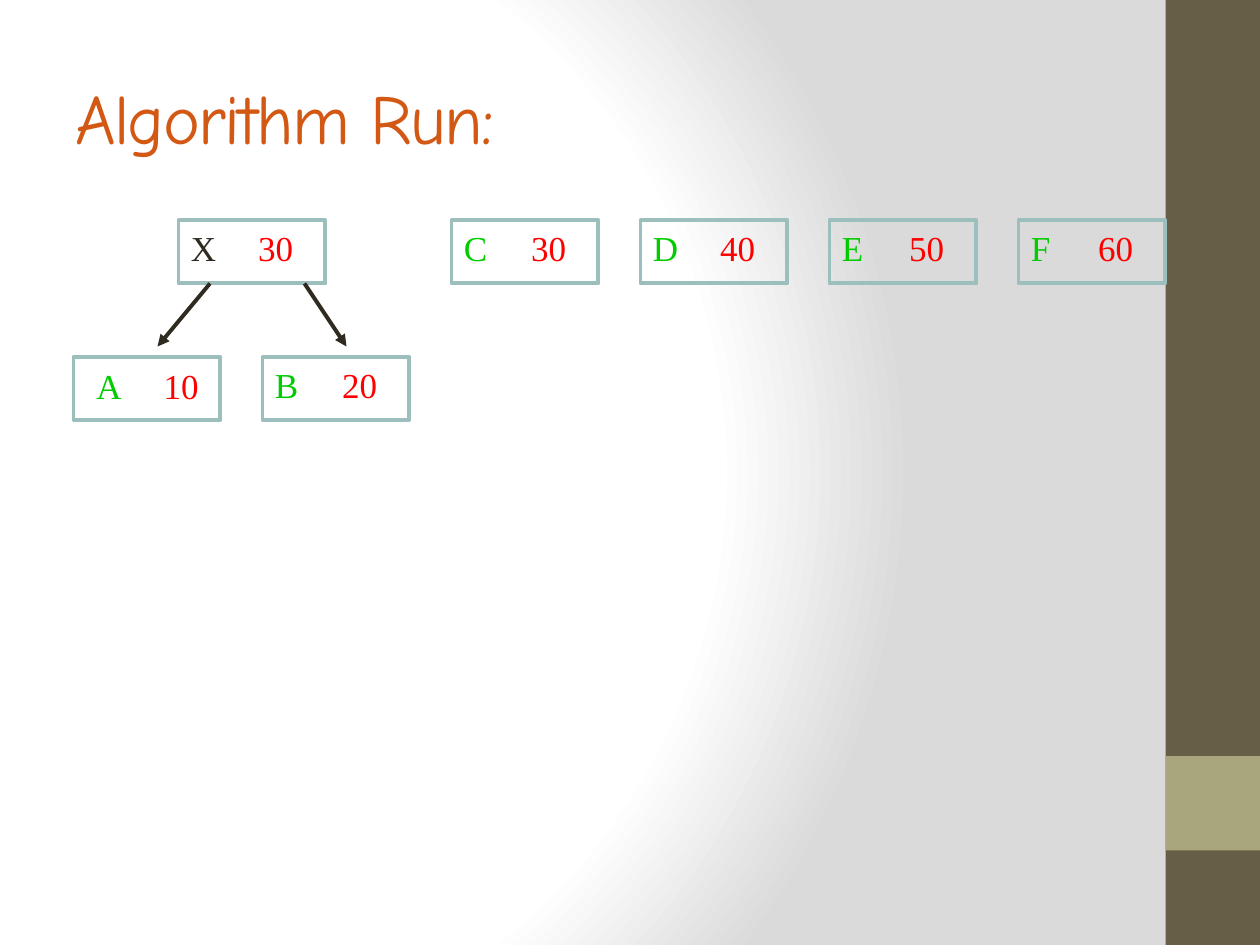
from dataclasses import dataclass
from typing import NamedTuple

from pptx import Presentation
from pptx.dml.color import RGBColor
from pptx.enum.shapes import MSO_CONNECTOR, MSO_SHAPE
from pptx.enum.text import MSO_ANCHOR
from pptx.oxml import parse_xml
from pptx.oxml.ns import nsdecls, qn
from pptx.oxml.xmlchemy import OxmlElement
from pptx.slide import Slide
from pptx.text.text import _Paragraph as Paragraph
from pptx.util import Pt


@dataclass(frozen=True)
class Theme:
    title: str = "D25814"
    letter: str = "00CC00"
    frequency: str = "FF0000"
    ink: str = "2F2B20"
    border: str = "9CBEBD"
    sidebar: str = "675E47"
    accent: str = "A9A57C"
    glow: str = "FFFFFF"
    shade: str = "DADADA"
    title_font: str = "Comic Neue"
    node_font: str = "Times New Roman"
    title_size: float = 40
    node_size: float = 20
    line_width: float = 2.25


class Node(NamedTuple):
    letter: str
    frequency: int
    left: float
    top: float
    color: str
    label_shift: tuple[float, float] = (0, 0)


class Arrow(NamedTuple):
    start: tuple[float, float]
    end: tuple[float, float]


THEME = Theme()
SLIDE_WIDTH, SLIDE_HEIGHT = 720, 540
SIDEBAR_LEFT, SIDEBAR_WIDTH = 666, 54
NODE_WIDTH, NODE_HEIGHT = 84, 36
FIRST_LEFT, NODE_PITCH = 42, 108
UPPER_TOP, LOWER_TOP = 126, 204
NUMBER_TAB = 38.5

LEAVES = [
    Node(
        letter,
        frequency,
        FIRST_LEFT + column * NODE_PITCH,
        LOWER_TOP if letter in "AB" else UPPER_TOP,
        THEME.letter,
        (6, 1) if letter == "A" else (0, 0),
    )
    for column, (letter, frequency) in enumerate(zip("ABCDEF", (10, 20, 30, 40, 50, 60)))
]
PARENT = Node("X", 30, 102, UPPER_TOP, THEME.ink)
ARROWS = [
    Arrow((120, UPPER_TOP + NODE_HEIGHT), (90, 198)),
    Arrow((174, UPPER_TOP + NODE_HEIGHT), (198, 198)),
]


def set_background(slide: Slide) -> None:
    """Fill the slide with a radial gradient centred left of the middle."""
    stops = "".join(
        f'<a:gs pos="{position * 1000}"><a:srgbClr val="{color}"/></a:gs>'
        for position, color in ((0, THEME.glow), (75, THEME.glow), (100, THEME.shade))
    )
    background = parse_xml(
        f'<p:bg {nsdecls("p", "a")}><p:bgPr><a:gradFill rotWithShape="1">'
        f"<a:gsLst>{stops}</a:gsLst>"
        '<a:path path="circle"><a:fillToRect l="20000" t="50000" r="100000" b="50000"/></a:path>'
        "</a:gradFill><a:effectLst/></p:bgPr></p:bg>"
    )
    slide.element.cSld.insert(0, background)


def add_rectangle(
    slide: Slide,
    left: float,
    top: float,
    width: float,
    height: float,
    fill: str | None = None,
    border: str | None = None,
) -> None:
    shape = slide.shapes.add_shape(
        MSO_SHAPE.RECTANGLE, Pt(left), Pt(top), Pt(width), Pt(height)
    )
    shape.shadow.inherit = False
    if fill:
        shape.fill.solid()
        shape.fill.fore_color.rgb = RGBColor.from_string(fill)
    else:
        shape.fill.background()
    if border:
        shape.line.color.rgb = RGBColor.from_string(border)
        shape.line.width = Pt(THEME.line_width)
    else:
        shape.line.fill.background()


def add_run(paragraph: Paragraph, text: str, color: str, name: str, size: float):
    run = paragraph.add_run()
    run.text = text
    for attribute, value in {"name": name, "size": Pt(size)}.items():
        setattr(run.font, attribute, value)
    run.font.color.rgb = RGBColor.from_string(color)
    return run


def add_title(slide: Slide, text: str) -> None:
    text_box = slide.shapes.add_textbox(Pt(36), Pt(21.6), Pt(600), Pt(90))
    frame = text_box.text_frame
    for attribute, value in {"word_wrap": True, "vertical_anchor": MSO_ANCHOR.MIDDLE}.items():
        setattr(frame, attribute, value)
    run = add_run(
        frame.paragraphs[0], text, THEME.title, THEME.title_font, THEME.title_size
    )
    run.font._element.set("spc", "-100")


def add_tab_stop(paragraph: Paragraph, position: float) -> None:
    tab_list = OxmlElement("a:tabLst")
    tab = OxmlElement("a:tab")
    tab.set("pos", str(Pt(position)))
    tab.set("algn", "l")
    tab_list.append(tab)
    paragraph._p.get_or_add_pPr().append(tab_list)


def add_node(slide: Slide, node: Node) -> None:
    """Draw a bordered box with a letter and its frequency."""
    add_rectangle(
        slide, node.left, node.top, NODE_WIDTH, NODE_HEIGHT, border=THEME.border
    )
    shift_x, shift_y = node.label_shift
    label = slide.shapes.add_textbox(
        Pt(node.left + shift_x), Pt(node.top + shift_y), Pt(78), Pt(31)
    )
    label.text_frame.word_wrap = True
    paragraph = label.text_frame.paragraphs[0]
    add_tab_stop(paragraph, NUMBER_TAB)
    for text, color in (
        (f"{node.letter}\t", node.color),
        (str(node.frequency), THEME.frequency),
    ):
        add_run(paragraph, text, color, THEME.node_font, THEME.node_size)


def add_arrow(slide: Slide, arrow: Arrow) -> None:
    connector = slide.shapes.add_connector(
        MSO_CONNECTOR.STRAIGHT, *(Pt(value) for value in arrow.start + arrow.end)
    )
    connector.line.color.rgb = RGBColor.from_string(THEME.ink)
    connector.line.width = Pt(THEME.line_width)
    properties = connector._element.spPr
    head = OxmlElement("a:tailEnd")
    head.set("type", "triangle")
    properties.find(qn("a:ln")).append(head)
    properties.append(OxmlElement("a:effectLst"))


def main() -> None:
    presentation = Presentation()
    presentation.slide_width = Pt(SLIDE_WIDTH)
    presentation.slide_height = Pt(SLIDE_HEIGHT)
    slide = presentation.slides.add_slide(presentation.slide_layouts[6])

    set_background(slide)
    add_rectangle(slide, SIDEBAR_LEFT, 0, SIDEBAR_WIDTH, SLIDE_HEIGHT, THEME.sidebar)
    add_rectangle(slide, SIDEBAR_LEFT, 432, SIDEBAR_WIDTH, SIDEBAR_WIDTH, THEME.accent)
    add_title(slide, "Algorithm Run:")
    for node in [*LEAVES, PARENT]:
        add_node(slide, node)
    for arrow in ARROWS:
        add_arrow(slide, arrow)

    presentation.save("out.pptx")


if __name__ == "__main__":
    main()
